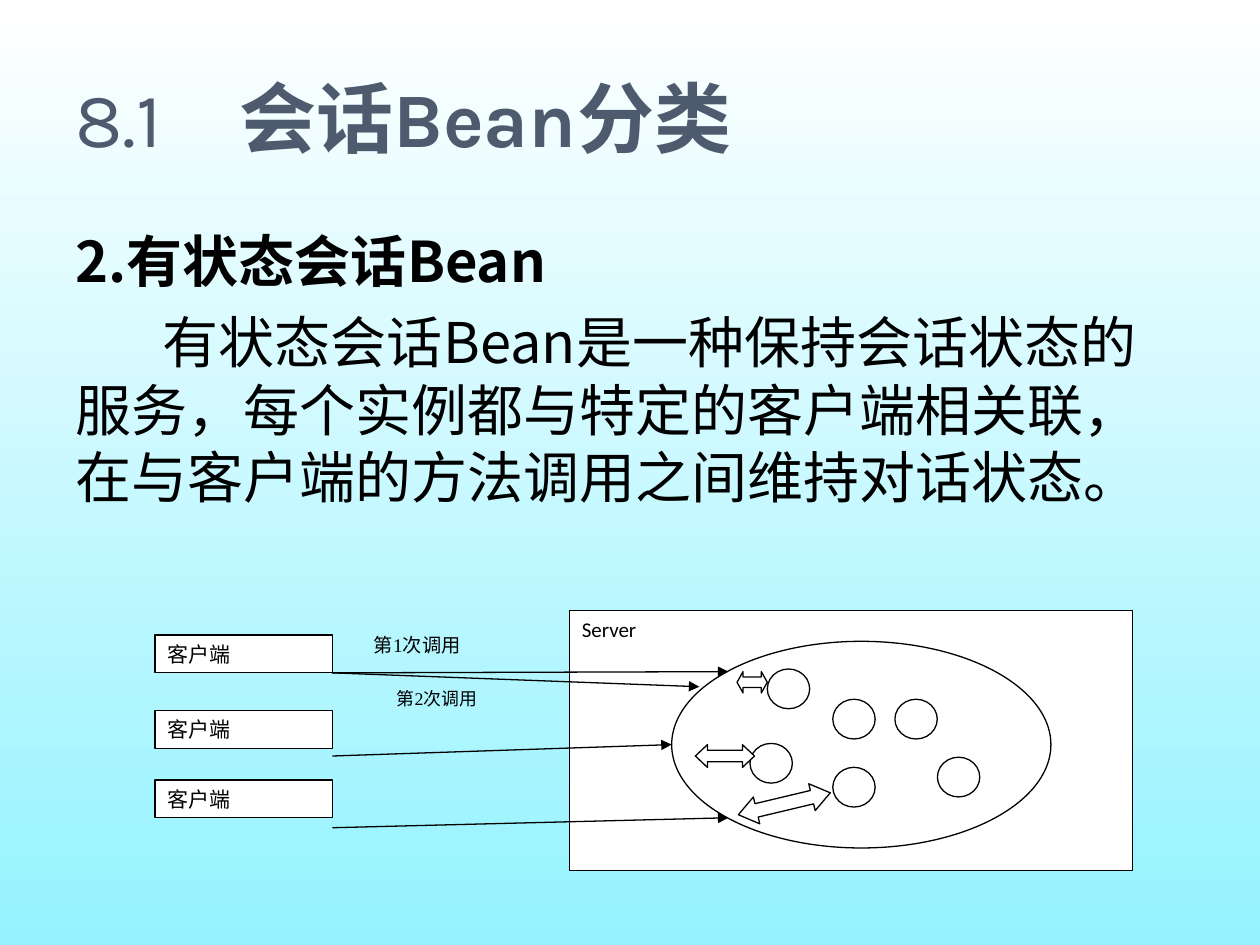
from lxml.etree import SubElement
from pptx import Presentation
from pptx.dml.color import RGBColor
from pptx.enum.shapes import MSO_CONNECTOR, MSO_SHAPE
from pptx.enum.text import MSO_ANCHOR
from pptx.oxml.ns import qn
from pptx.util import Pt

COLORS = {"ink": "000000", "title": "4E5B6F", "paper": "FFFFFF", "sky": "94F3FF"}


class Diagram:
    """Draws styled elements on one slide, with lengths in points."""

    def __init__(self, s):
        self.s = s

    def color(self, name):
        return RGBColor.from_string(COLORS[name])

    def background(self, top, bottom):
        fill = self.s.background.fill
        fill.gradient()
        fill.gradient_angle = 270
        for stop, name in zip(fill.gradient_stops, (top, bottom)):
            stop.color.rgb = self.color(name)

    def style(self, p, size, font, color="ink", bold=None):
        p.font.size = Pt(size)
        p.font.name = font
        p.font.bold = bold
        p.font.color.rgb = self.color(color)

    def text(self, x, y, w, h, anchor=MSO_ANCHOR.TOP):
        tf = self.s.shapes.add_textbox(Pt(x), Pt(y), Pt(w), Pt(h)).text_frame
        tf.word_wrap = True
        tf.vertical_anchor = anchor
        return tf

    def label(self, x, y, w, h, text, size):
        p = self.text(x, y, w, h).paragraphs[0]
        p.text = text
        self.style(p, size, "Times New Roman")
        return p

    def shape(self, kind, x, y, w, h):
        sp = self.s.shapes.add_shape(kind, Pt(x), Pt(y), Pt(w), Pt(h))
        sp.shadow.inherit = False
        sp.fill.solid()
        sp.fill.fore_color.rgb = self.color("paper")
        sp.line.color.rgb = self.color("ink")
        sp.line.width = Pt(0.75)
        return sp

    def box(self, x, y, w, h, text):
        tf = self.shape(MSO_SHAPE.RECTANGLE, x, y, w, h).text_frame
        tf.word_wrap = True
        tf.vertical_anchor = MSO_ANCHOR.TOP
        p = tf.paragraphs[0]
        p.text = text
        p.alignment = 1
        self.style(p, 12, "Calibri")

    def oval(self, x, y, w, h):
        self.shape(MSO_SHAPE.OVAL, x, y, w, h)

    def double_arrow(self, x, y, w, h, head, rotation=0):
        sp = self.shape(MSO_SHAPE.LEFT_RIGHT_ARROW, x, y, w, h)
        sp.adjustments[1] = head
        sp.rotation = rotation

    def arrow(self, x1, y1, x2, y2):
        c = self.s.shapes.add_connector(
            MSO_CONNECTOR.STRAIGHT, Pt(x1), Pt(y1), Pt(x2), Pt(y2))
        c.line.color.rgb = self.color("ink")
        c.line.width = Pt(0.75)
        SubElement(c.line._get_or_add_ln(), qn("a:tailEnd"), type="triangle")
        SubElement(c._element.spPr, qn("a:effectLst"))


def main():
    prs = Presentation()
    prs.slide_width, prs.slide_height = Pt(720), Pt(540)
    d = Diagram(prs.slides.add_slide(prs.slide_layouts[6]))
    d.background("paper", "sky")

    p = d.text(36, 21.6, 648, 90, MSO_ANCHOR.MIDDLE).paragraphs[0]
    p.add_run().text = "8.1　"
    r = p.add_run()
    r.text = "会话Bean分类"
    r.font.bold = True
    d.style(p, 44, "Karla", "title")

    tf = d.text(36, 126, 648, 356.4)
    p = tf.paragraphs[0]
    p.text = "2.有状态会话Bean"
    d.style(p, 32, "Noto Sans CJK SC", bold=True)
    p = tf.add_paragraph()
    p.text = "有状态会话Bean是一种保持会话状态的服务，每个实例都与特定的客户端相关联，在与客户端的方法调用之间维持对话状态。"
    p.space_before = Pt(8)
    p._p.get_or_add_pPr().set("indent", str(Pt(50)))
    d.style(p, 32, "Noto Sans CJK SC", bold=False)

    d.box(325.4, 349, 321.8, 148.3, "Server")
    for y in (362.9, 406.1, 445.7):
        d.box(88.5, y, 101.5, 21.6, "客户端")

    d.oval(383.8, 366.5, 216.7, 118.1)
    for x, y in ((475.9, 399.6), (428.6, 424.8), (475.9, 438.5),
                 (438.5, 382.3), (535.7, 432.7), (511.4, 399.6)):
        d.oval(x, y, 24.2, 22.7)

    for y1, x2, y2 in ((384.5, 416.2, 383.8), (432, 383.8, 425.5),
                       (473, 416.2, 467.3), (384.5, 399.6, 392.4)):
        d.arrow(190, y1, x2, y2)

    d.double_arrow(421.2, 383.8, 17.3, 12.2, 0.28)
    d.double_arrow(397.4, 425.5, 33.8, 13, 0.53)
    d.double_arrow(421.2, 451.4, 54, 15.8, 0.68, 346.6)

    d.label(206.6, 358.6, 105.8, 21.6, "第1次调用", 11)
    d.label(219.6, 391, 105.8, 19.4, "第2次调用", 10.2).line_spacing = 0.9

    prs.save("out.pptx")


if __name__ == "__main__":
    main()
